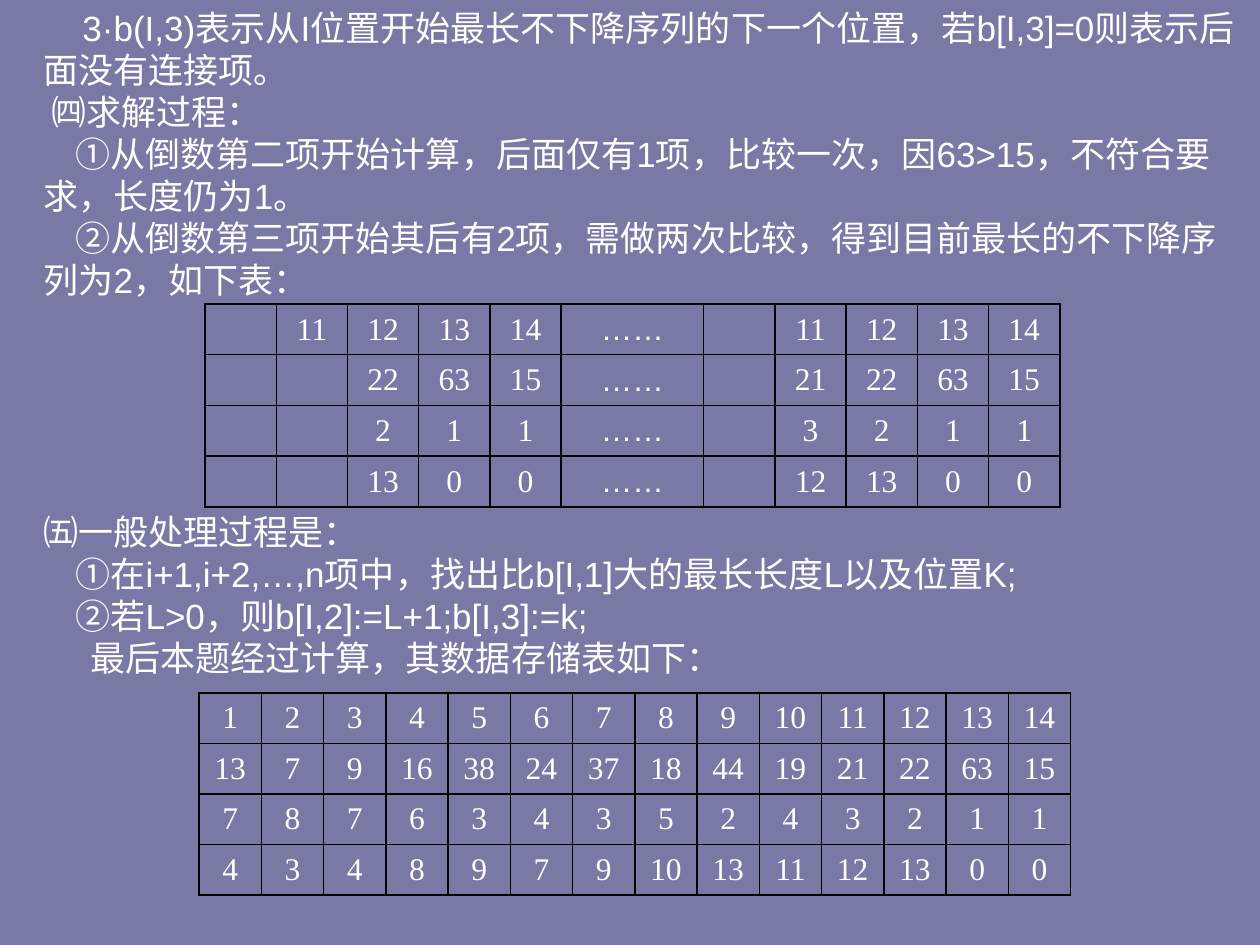
"""Build the slide on the longest non-decreasing sequence, with its two data tables."""
from dataclasses import dataclass

from pptx import Presentation, util as u
from pptx.dml.color import RGBColor
from pptx.enum import text
from pptx.oxml.ns import qn

EMU_PER_PX = 914400 / 126


@dataclass(frozen=True)
class Theme:
    background: str = "7979A5"
    ink: str = "FFFFFF"
    border: str = "000000"
    border_width: int = 12700
    body_font: str = "Arial"
    number_font: str = "Times New Roman"
    body_size: int = 20
    number_size: int = 18


@dataclass(frozen=True)
class Line:
    words: str
    indent: int = 0


@dataclass(frozen=True)
class Passage:
    top: int
    width: int
    height: int
    lines: tuple[Line, ...]


@dataclass(frozen=True)
class Grid:
    left: int
    top: int
    width: int
    height: int
    weights: tuple[int, ...]
    rows: tuple[str, ...]


THEME = Theme()
DOTS = "……"
BLANK = "-"
TEXT_LEFT = 31
STEP = 32

PASSAGES = (
    Passage(0, 1229, 97, (
        Line("3·b(I,3)表示从I位置开始最长不下降序列的下一个位置，若b[I,3]=0则表示后面没有连接项。", 39),
    )),
    Passage(84, 1218, 223, (
        Line("㈣求解过程：", 8),
        Line("①从倒数第二项开始计算，后面仅有1项，比较一次，因63>15，不符合要求，长度仍为1。", STEP),
        Line("②从倒数第三项开始其后有2项，需做两次比较，得到目前最长的不下降序列为2，如下表：", STEP),
    )),
    Passage(504, 1229, 180, (
        Line("㈤一般处理过程是："),
        Line("①在i+1,i+2,…,n项中，找出比b[I,1]大的最长长度L以及位置K;", STEP),
        Line("②若L>0，则b[I,2]:=L+1;b[I,3]:=k;", STEP),
        Line("最后本题经过计算，其数据存储表如下：", 47),
    )),
)

GRIDS = (
    Grid(205, 304, 855, 203, (1,) * 5 + (2,) + (1,) * 5, (
        "- 11 12 13 14 …… - 11 12 13 14",
        "- - 22 63 15 …… - 21 22 63 15",
        "- - 2 1 1 …… - 3 2 1 1",
        "- - 13 0 0 …… - 12 13 0 0",
    )),
    Grid(199, 693, 872, 202, (1,) * 14, (
        "1 2 3 4 5 6 7 8 9 10 11 12 13 14",
        "13 7 9 16 38 24 37 18 44 19 21 22 63 15",
        "7 8 7 6 3 4 3 5 2 4 3 2 1 1",
        "4 3 4 8 9 7 9 10 13 11 12 13 0 0",
    )),
)


def px(length: float) -> u.Emu:
    """Turn pixels into EMU."""
    return u.Emu(round(length * EMU_PER_PX))


def apply(target, formats: dict) -> None:
    """Set each attribute of the target from the format values."""
    for name, value in formats.items():
        setattr(target, name, value)


def write(para, words: str, font: str, size: int) -> None:
    """Add one run of formatted words to a paragraph."""
    span = para.add_run()
    span.text = words
    apply(span.font, {"name": font, "size": u.Pt(size)})
    span.font.color.rgb = RGBColor.from_string(THEME.ink)


def draw_passage(page, passage: Passage) -> None:
    """Draw a text box with one indented paragraph for each line."""
    box = page.shapes.add_textbox(
        px(TEXT_LEFT), px(passage.top), px(passage.width), px(passage.height))
    frame = box.text_frame
    apply(frame, {"word_wrap": True, "auto_size": text.MSO_AUTO_SIZE.SHAPE_TO_FIT_TEXT})
    for index, line in enumerate(passage.lines):
        para = frame.add_paragraph() if index else frame.paragraphs[0]
        properties = para._p.get_or_add_pPr()
        for name, value in {"marL": 0, "indent": px(line.indent)}.items():
            properties.set(name, str(int(value)))
        write(para, line.words, THEME.body_font, THEME.body_size)


def add_borders(cell) -> None:
    """Give a cell a solid border on all four sides."""
    properties = cell._tc.get_or_add_tcPr()
    for index, side in enumerate(("lnL", "lnR", "lnT", "lnB")):
        edge = properties.makeelement(qn(f"a:{side}"), {"w": str(THEME.border_width)})
        fill = edge.makeelement(qn("a:solidFill"), {})
        fill.append(fill.makeelement(qn("a:srgbClr"), {"val": THEME.border}))
        edge.append(fill)
        properties.insert(index, edge)


def draw_grid(page, grid: Grid) -> None:
    """Draw a bordered table with weighted columns and equal rows."""
    table = page.shapes.add_table(
        len(grid.rows), len(grid.weights),
        px(grid.left), px(grid.top), px(grid.width), px(grid.height)).table
    apply(table, {"first_row": False, "horz_banding": False})
    for column, weight in zip(table.columns, grid.weights):
        column.width = px(grid.width * weight / sum(grid.weights))
    for row, values in zip(table.rows, grid.rows):
        row.height = px(grid.height / len(grid.rows))
        for cell, value in zip(row.cells, values.split()):
            cell.vertical_anchor = text.MSO_ANCHOR.MIDDLE
            cell.fill.background()
            add_borders(cell)
            if value != BLANK:
                para = cell.text_frame.paragraphs[0]
                para.alignment = text.PP_ALIGN.CENTER
                font = THEME.body_font if value == DOTS else THEME.number_font
                write(para, value, font, THEME.number_size)


def main() -> None:
    """Build the deck and save it."""
    deck = Presentation()
    apply(deck, {"slide_width": u.Inches(10), "slide_height": u.Inches(7.5)})
    page = deck.slides.add_slide(deck.slide_layouts[6])
    backdrop = page.background.fill
    backdrop.solid()
    backdrop.fore_color.rgb = RGBColor.from_string(THEME.background)
    for passage in PASSAGES:
        draw_passage(page, passage)
    for grid in GRIDS:
        draw_grid(page, grid)
    deck.save("out.pptx")


if __name__ == "__main__":
    main()
